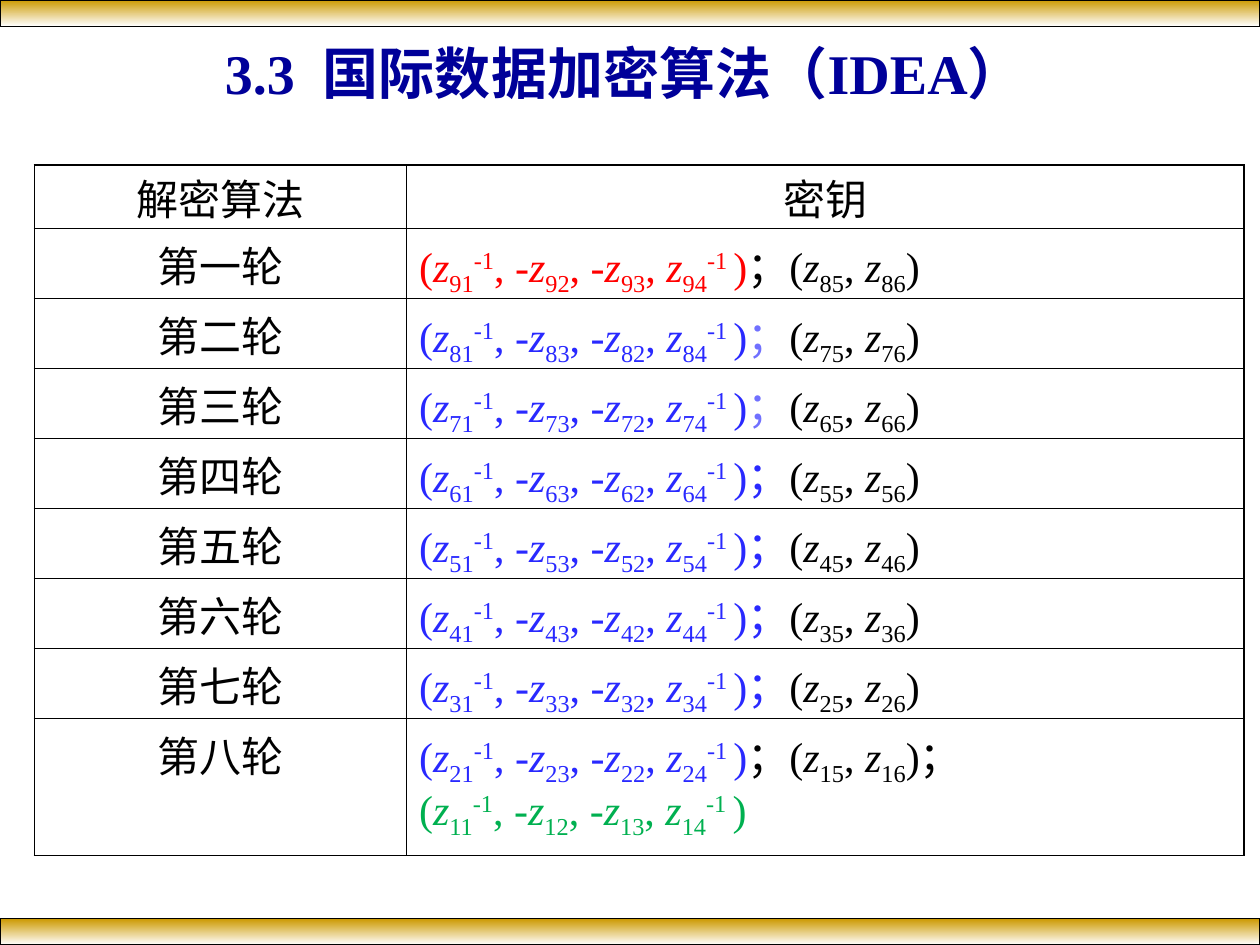
from typing import NamedTuple

import pptx
import pptx.dml.color
import pptx.enum.shapes
import pptx.enum.text
import pptx.oxml
import pptx.oxml.ns
import pptx.util

Pt = pptx.util.Pt
RGBColor = pptx.dml.color.RGBColor
ALIGN = pptx.enum.text.PP_ALIGN

BLACK = RGBColor(0x00, 0x00, 0x00)
WHITE = RGBColor(0xFF, 0xFF, 0xFF)
GOLD = RGBColor(0xCC, 0x99, 0x00)
NAVY = RGBColor(0x00, 0x00, 0x99)
RED = RGBColor(0xFF, 0x00, 0x00)
BLUE = RGBColor(0x29, 0x29, 0xFF)
PALE_BLUE = RGBColor(0x70, 0x70, 0xFF)
GREEN = RGBColor(0x00, 0xB0, 0x50)

SERIF, SANS = "Times New Roman", "Roboto"
SLIDE_W, SLIDE_H, BAR_H = 720, 540, 15
COL_WIDTHS = [212.6, 478.6]
ROW_HEIGHTS = [36] + [40] * 7 + [78.6]
HEADER_INSET, ROUND_INSET = 1.1, 3.1
OUTER, INNER = 1.08, 0.45
SUB, SUP = -25, 30


class Run(NamedTuple):
    text: str
    color: RGBColor = BLACK
    font: str = SERIF
    size: float = 24
    italic: bool = False
    bold: bool = False
    base: int = 0
    spacing: float = 0


def add_run(p, run: Run) -> None:
    r = p.add_run()
    r.text = run.text
    r.font.name, r.font.size = run.font, Pt(run.size)
    r.font.color.rgb = run.color
    r.font.bold, r.font.italic = run.bold, run.italic
    rPr = r._r.get_or_add_rPr()
    if run.base:
        rPr.set("baseline", str(run.base * 1000))
    if run.spacing:
        rPr.set("spc", str(int(run.spacing * 100)))


def add_bar(s, top: float) -> None:
    sp = s.shapes.add_shape(pptx.enum.shapes.MSO_SHAPE.RECTANGLE,
                            0, Pt(top), Pt(SLIDE_W), Pt(BAR_H))
    sp.shadow.inherit = False
    sp.fill.gradient()
    sp.fill.gradient_angle = 270
    for stop, color, position in zip(sp.fill.gradient_stops, (GOLD, WHITE), (0, 1)):
        stop.color.rgb, stop.position = color, position
    sp.line.color.rgb, sp.line.width = BLACK, Pt(0.75)


def subkey(index: str, color: RGBColor) -> list[Run]:
    return [Run("z", color, italic=True), Run(index, color, base=SUB)]


def key_group(block: int, middle: str, color: RGBColor) -> list[Run]:
    """Four subkeys: the outer two inverted, the middle two negated."""
    runs = [Run("(", color), *subkey(f"{block}1", color), Run("-1", color, base=SUP)]
    for m in middle:
        runs += [Run(", -", color), *subkey(f"{block}{m}", color)]
    return runs + [Run(", ", color), *subkey(f"{block}4", color),
                   Run("-1 ", color, base=SUP), Run(")", color)]


def key_pair(block: int) -> list[Run]:
    return [Run("("), *subkey(f"{block}5", BLACK), Run(", "),
            *subkey(f"{block}6", BLACK), Run(")")]


def round_keys(n: int) -> list[list[Run]]:
    block = 10 - n
    color, middle = (RED, "23") if n == 1 else (BLUE, "32")
    separator = {1: BLACK, 2: PALE_BLUE, 3: PALE_BLUE, 8: BLACK}.get(n, BLUE)
    line = key_group(block, middle, color) + [Run("；", separator)] + key_pair(block - 1)
    if n < 8:
        return [line]
    return [line + [Run("；")], key_group(1, "23", GREEN)]


def set_borders(cell, widths: dict[str, float]) -> None:
    tcPr = cell._tc.get_or_add_tcPr()
    for i, (side, width) in enumerate(widths.items()):
        tcPr.insert(i, pptx.oxml.parse_xml(
            f'<a:ln{side} {pptx.oxml.ns.nsdecls("a")} w="{Pt(width)}">'
            f'<a:solidFill><a:srgbClr val="{BLACK}"/></a:solidFill></a:ln{side}>'))


def fill_cell(cell, lines: list[list[Run]], align, inset: float) -> None:
    cell.fill.background()
    cell.margin_left = cell.margin_right = Pt(7.2)
    cell.margin_top, cell.margin_bottom = Pt(inset), 0
    tf = cell.text_frame
    for i, runs in enumerate(lines):
        p = tf.add_paragraph() if i else tf.paragraphs[0]
        p.alignment = align
        for run in runs:
            add_run(p, run)


def add_key_table(s) -> None:
    rows = [([[Run("解密算法", font=SANS)]], [[Run("密钥", font=SANS)]])]
    rows += [([[Run(f"第{numeral}轮", font=SANS)]], round_keys(n))
             for n, numeral in enumerate("一二三四五六七八", 1)]
    table = s.shapes.add_table(len(rows), 2, Pt(19.7), Pt(94.3),
                               Pt(sum(COL_WIDTHS)), Pt(sum(ROW_HEIGHTS))).table
    table.first_row = table.horz_banding = False
    for column, width in zip(table.columns, COL_WIDTHS):
        column.width = Pt(width)
    for i, (row, height) in enumerate(zip(table.rows, ROW_HEIGHTS)):
        row.height = Pt(height)
        for j, lines in enumerate(rows[i]):
            cell = table.cell(i, j)
            fill_cell(cell, lines, ALIGN.LEFT if i and j else ALIGN.CENTER,
                      ROUND_INSET if i else HEADER_INSET)
            set_borders(cell, {
                "L": INNER if j else OUTER,
                "R": OUTER if j else INNER,
                "T": INNER if i else OUTER,
                "B": OUTER if i == len(rows) - 1 else INNER,
            })


def add_title(s) -> None:
    tf = s.shapes.add_textbox(Pt(42.5), Pt(15.1), Pt(628.6), Pt(52.6)).text_frame
    tf.word_wrap = True
    tf.vertical_anchor = pptx.enum.text.MSO_ANCHOR.MIDDLE
    p = tf.paragraphs[0]
    p.alignment = ALIGN.CENTER
    for text, spacing in (("3.3", 0), (" ", 8), ("国际数据加密算法（IDEA）", 0)):
        add_run(p, Run(text, NAVY, size=32, bold=True, spacing=spacing))


def main() -> None:
    prs = pptx.Presentation()
    prs.slide_width, prs.slide_height = Pt(SLIDE_W), Pt(SLIDE_H)
    s = prs.slides.add_slide(prs.slide_layouts[6])
    # Gold bars along the top and bottom edges
    for top in (0, SLIDE_H - BAR_H):
        add_bar(s, top)
    # Decryption keys, one round a row
    add_key_table(s)
    # Title
    add_title(s)
    prs.save("out.pptx")


if __name__ == "__main__":
    main()
